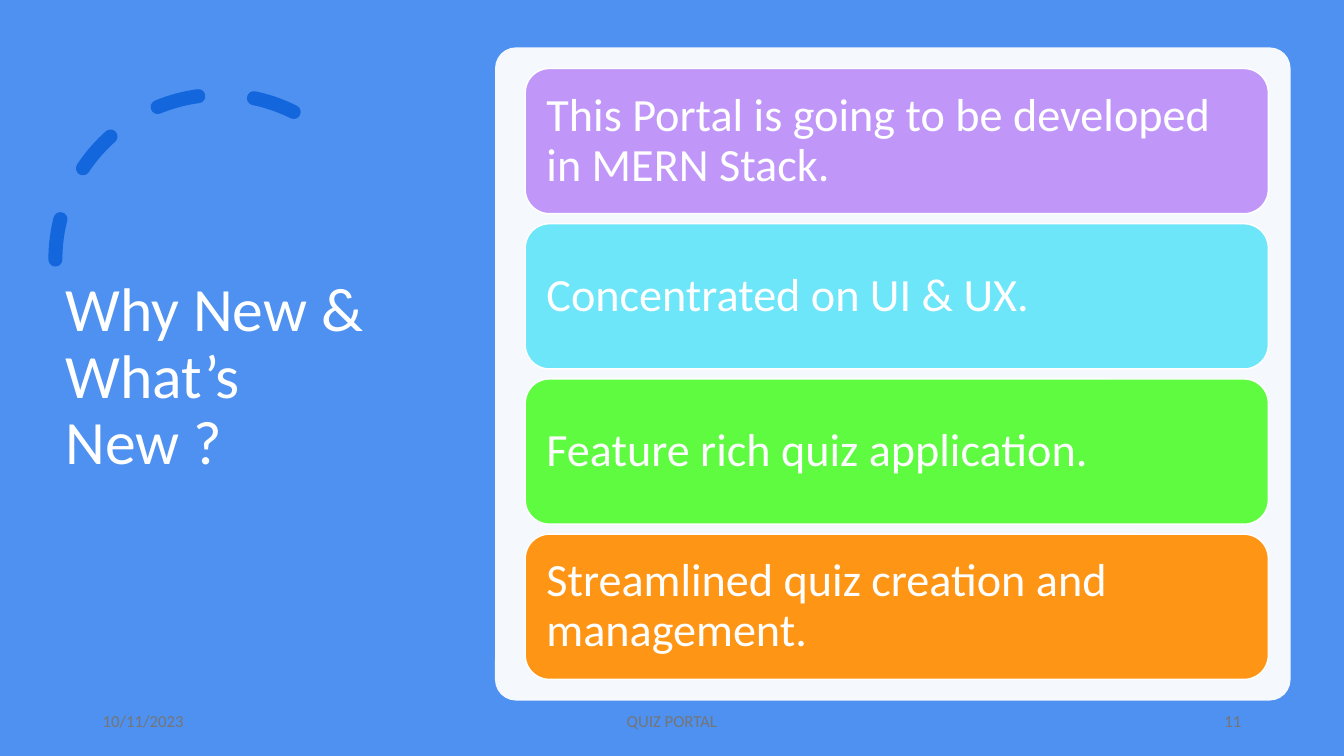
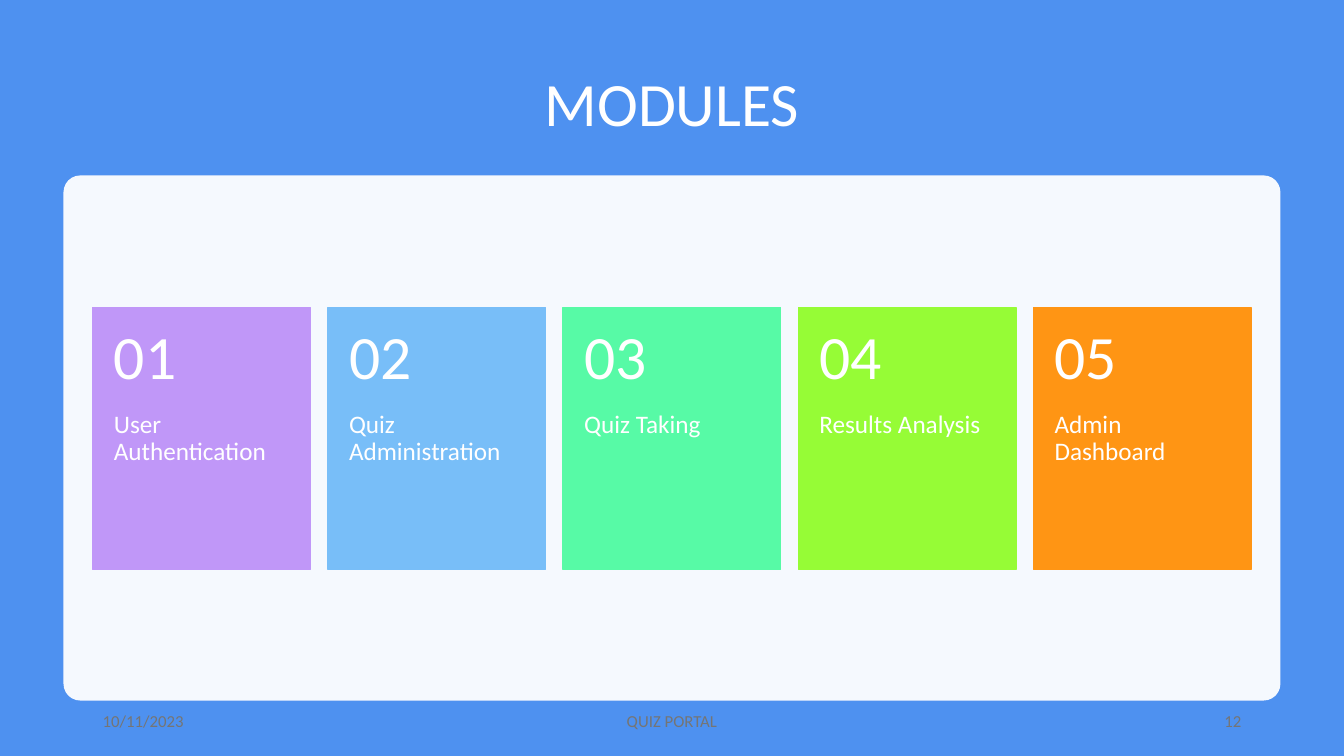
from lxml import etree
from pptx import Presentation
from pptx.dml.color import RGBColor
from pptx.enum.dml import MSO_LINE
from pptx.enum.shapes import MSO_SHAPE as SHAPE
from pptx.enum.text import MSO_ANCHOR as ANCHOR, PP_ALIGN as ALIGN
from pptx.oxml.ns import qn
from pptx.util import Inches, Pt

COLORS = {
    "background": "4E91F0", "white": "FFFFFF", "arc": "1366DC", "footer": "757575",
    "purple": "C097F8", "cyan": "6DE6F9", "green": "5FFB41", "orange": "FF9514",
    "sky": "78BEF8", "mint": "57FAA6", "lime": "96FC36",
}
FONT = "Calibri"
W, H = 13.33, 7.5
MARGIN = 0.92
CONTENT_W = W - 2 * MARGIN
TITLE_SIZE = 44


def add_box(slide, kind, box, fill=None, line=None):
    """Add a preset shape, or a text box when kind is None."""
    box = [Inches(v) for v in box]
    if kind is None:
        return slide.shapes.add_textbox(*box)
    sp = slide.shapes.add_shape(kind, *box)
    sp.shadow.inherit = False
    if fill:
        sp.fill.solid()
        sp.fill.fore_color.rgb = RGBColor.from_string(COLORS[fill])
    else:
        sp.fill.background()
    if line:
        sp.line.color.rgb = RGBColor.from_string(COLORS[line])
        sp.line.width = Pt(1)
    else:
        sp.line.fill.background()
    return sp


def set_text(sp, lines, color="white", align=ALIGN.LEFT, anchor=ANCHOR.MIDDLE,
             inset=(0.1, 0.05), spacing=0.9):
    """Fill a shape with (text, size, space before) paragraphs."""
    tf = sp.text_frame
    tf.word_wrap = True
    tf.vertical_anchor = anchor
    tf.margin_left = tf.margin_right = Inches(inset[0])
    tf.margin_top = tf.margin_bottom = Inches(inset[1])
    for i, (text, size, before) in enumerate(lines):
        p = tf.add_paragraph() if i else tf.paragraphs[0]
        p.text = text
        p.alignment = align
        p.line_spacing = spacing
        p.space_before = Pt(before)
        p.font.name = FONT
        p.font.size = Pt(size)
        p.font.color.rgb = RGBColor.from_string(COLORS[color])


prs = Presentation()
prs.slide_width, prs.slide_height = Inches(W), Inches(H)

# Shared frame: background, title, translucent panel and footer
pages = [
    # title, title box, title alignment, panel box, page number
    ("Why New & What’s\vNew ?", (0.55, 0.71, 3.59, 6.09), ALIGN.LEFT,
     (4.91, 0.47, 7.89, 6.48), "11"),
    ("MODULES", (MARGIN, 0.51, CONTENT_W, 1.1), ALIGN.CENTER,
     (0.63, 1.74, 12.07, 5.21), "12"),
]
slides = []
for title, title_box, align, panel_box, number in pages:
    s = prs.slides.add_slide(prs.slide_layouts[6])
    s.background.fill.solid()
    s.background.fill.fore_color.rgb = RGBColor.from_string(COLORS["background"])
    set_text(add_box(s, None, title_box), [(title, TITLE_SIZE, 0)], align=align)

    panel = add_box(s, SHAPE.ROUNDED_RECTANGLE, panel_box, "white")
    panel.adjustments[0] = 0.032
    color = panel.fill._xPr.find(".//" + qn("a:srgbClr"))
    etree.SubElement(color, qn("a:alpha")).set("val", "95000")

    footers = [("10/11/2023", ALIGN.LEFT), ("QUIZ PORTAL", ALIGN.CENTER),
               (number, ALIGN.RIGHT)]
    col_w = CONTENT_W / len(footers)
    for i, (text, footer_align) in enumerate(footers):
        sp = add_box(s, None, (MARGIN + i * col_w, 6.95, col_w, 0.4))
        set_text(sp, [(text, 12, 0)], "footer", footer_align, spacing=1)
    slides.append(s)
reasons_slide, modules_slide = slides

# Reasons: dashed arc above the title
arc = add_box(reasons_slide, SHAPE.ARC, (0.55, 0.94, 3.27, 3.27), line="arc")
arc.adjustments[0], arc.adjustments[1] = 146.129, 0
arc.line.width = Pt(10)
arc.line.dash_style = MSO_LINE.DASH
arc.line._ln.set("cap", "rnd")
arc._element.spPr.find(qn("a:xfrm")).set("flipH", "1")

# Reasons: one rounded card per row
reasons = [
    ("This Portal is going to be developed in MERN Stack.", "purple"),
    ("Concentrated on UI & UX.", "cyan"),
    ("Feature rich quiz application.", "green"),
    ("Streamlined quiz creation and management.", "orange"),
]
row_h, row_gap = 1.44, 0.1
for i, (text, fill) in enumerate(reasons):
    box = (5.21, 0.68 + i * (row_h + row_gap), 7.37, row_h)
    sp = add_box(reasons_slide, SHAPE.ROUNDED_RECTANGLE, box, fill, "white")
    # The rounded corners already inset the text by 0.07
    set_text(sp, [(text, 33, 0)], inset=(0.14, 0.14))

# Modules: one numbered card per column
modules = [
    ("User Authentication", "purple"),
    ("Quiz Administration", "sky"),
    ("Quiz Taking", "mint"),
    ("Results Analysis", "lime"),
    ("Admin Dashboard", "orange"),
]
card_w = 2.16
pitch = (CONTENT_W - card_w) / (len(modules) - 1)
for i, (name, fill) in enumerate(modules):
    box = (MARGIN + i * pitch, 3.05, card_w, 2.6)
    sp = add_box(modules_slide, SHAPE.RECTANGLE, box, fill, fill)
    set_text(sp, [(f"{i + 1:02}", TITLE_SIZE, 0), (name, 18, 13)],
             anchor=ANCHOR.TOP, inset=(0.21, 0.19))

prs.save("out.pptx")
